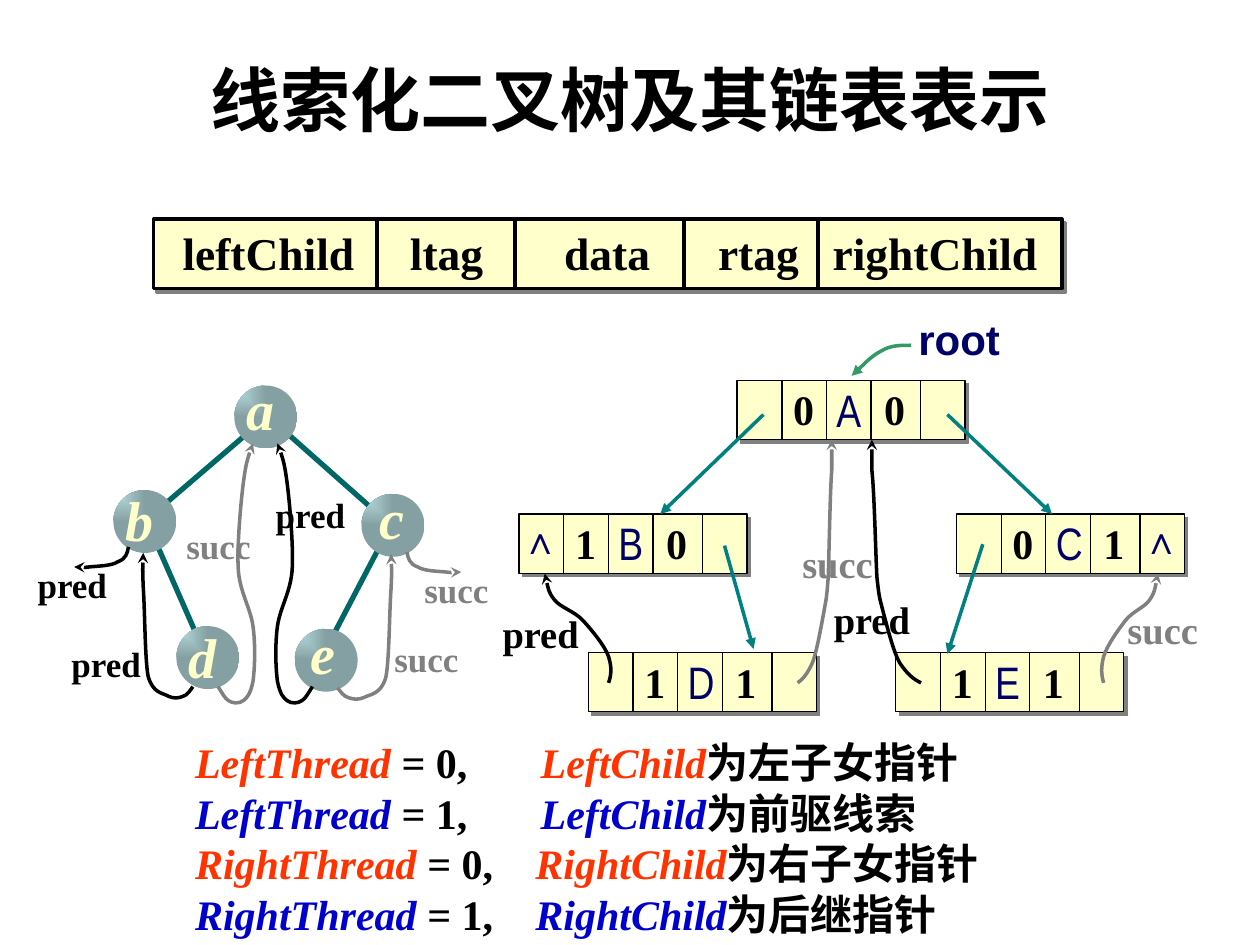
from lxml import etree
from pptx import Presentation
from pptx.dml.color import RGBColor
from pptx.enum.shapes import MSO_CONNECTOR, MSO_SHAPE
from pptx.enum.text import MSO_ANCHOR, PP_ALIGN
from pptx.oxml import parse_xml
from pptx.oxml.ns import nsdecls, qn
from pptx.util import Pt

STRAIGHT = MSO_CONNECTOR.STRAIGHT
RECTANGLE, OVAL = MSO_SHAPE.RECTANGLE, MSO_SHAPE.OVAL
TOP, MIDDLE = MSO_ANCHOR.TOP, MSO_ANCHOR.MIDDLE
LEFT, CENTER = PP_ALIGN.LEFT, PP_ALIGN.CENTER

BLACK = RGBColor(0x00, 0x00, 0x00)
GRAY = RGBColor(0x80, 0x80, 0x80)
CREAM = RGBColor(0xFF, 0xFF, 0xCC)
EDGE = RGBColor(0x00, 0x66, 0x66)
TEAL = RGBColor(0x00, 0x80, 0x80)
GREEN = RGBColor(0x33, 0x99, 0x66)
NAVY = RGBColor(0x00, 0x00, 0x66)
RED = RGBColor(0xFF, 0x33, 0x00)
BLUE = RGBColor(0x00, 0x00, 0xCC)
SERIF, SANS, NARROW = "Times New Roman", "Arial", "Arial Narrow"

NODE_GRADIENT = f"""<a:gradFill {nsdecls('a')} rotWithShape="1"><a:gsLst>
<a:gs pos="0"><a:srgbClr val="BBE0E3"/></a:gs>
<a:gs pos="100000"><a:srgbClr val="BBE0E3"><a:shade val="46275"/></a:srgbClr></a:gs>
</a:gsLst><a:path path="rect"><a:fillToRect r="100000" b="100000"/></a:path></a:gradFill>"""
BOX_SHADOW = f"""<a:effectLst {nsdecls('a')}><a:outerShdw dist="35560" dir="2700000"
algn="ctr" rotWithShape="0"><a:srgbClr val="808080"/></a:outerShdw></a:effectLst>"""

ANCESTOR_THREAD = [
    (2, 3), (4, 7), (6, 8), (8, 9.5), (12, 10), (14.5, 8), (16.5, 6.5), (18.5, 4.5), (20, -3),
    (21, -10), (21.5, -24), (20, -34.5), (18.5, -45.5), (12, -54.5), (11.5, -68.5),
    (11, -82), (13, -105), (14.5, -116.5), (16, -128), (18.5, -135.5), (20, -139)]
PARENT_THREAD = [
    (1.5, 2), (3.5, 5), (6, 5.5), (8.5, 6.5), (11.5, 7), (15, 5.5), (18.5, 3.5), (24.5, 4),
    (27.5, -6), (29.5, -16), (29.5, -44.5), (30.5, -57), (31, -68.5), (30.5, -73.5), (30.5, -76.5)]
OPEN_THREAD = [
    (0.5, 3.5), (1.5, 7), (6, 8.5), (9.5, 11), (18, 11), (22.5, 11.5),
    (26.5, 12), (29.5, 11.5), (31, 11.5)]
OUTER_THREAD = [
    (1.5, -4.5), (2, -8.5), (0, -15), (-2, -21), (-9.5, -30), (-14.5, -35.5),
    (-19.5, -41), (-27.5, -43), (-31, -47.5), (-34.5, -52), (-36, -60), (-36.5, -62.5)]
INNER_THREAD = [
    (3, -2), (5.5, -5), (8.5, -11.5), (11, -18), (13.5, -32.5), (15, -40.5), (16.5, -49),
    (16.5, -47.5), (17.5, -60.5), (18, -74), (18.5, -108.5), (19.5, -121.5),
    (19.5, -134.5), (19.5, -136), (19.5, -139)]
ROOT_POINTER = [(-6, 0), (-11.5, 0), (-16.5, 3), (-22.5, 6), (-31, 15), (-34, 17.5)]


def add_run(paragraph, text, size, font, color, bold=True, italic=False):
    run = paragraph.add_run()
    run.text = text
    run.font.size, run.font.name = Pt(size), font
    run.font.bold, run.font.italic = bold, italic
    run.font.color.rgb = color


def add_frame(slide, x, y, width, height, anchor=TOP, wrap=False):
    frame = slide.shapes.add_textbox(Pt(x), Pt(y), Pt(width), Pt(height)).text_frame
    frame.word_wrap, frame.vertical_anchor = wrap, anchor
    return frame


def add_label(slide, x, y, width, height, text, size, font, color,
              bold=True, italic=False, align=LEFT, anchor=TOP):
    paragraph = add_frame(slide, x, y, width, height, anchor).paragraphs[0]
    paragraph.alignment = align
    add_run(paragraph, text, size, font, color, bold, italic)


def set_tabs(paragraph, positions):
    tabs = etree.SubElement(paragraph._p.get_or_add_pPr(), qn("a:tabLst"))
    for position in positions:
        etree.SubElement(tabs, qn("a:tab"), pos=str(Pt(position)), algn="l")


def style_line(line, color, width, head=None):
    line.color.rgb, line.width = color, Pt(width)
    if head:
        etree.SubElement(line._get_or_add_ln(), qn("a:tailEnd"), type=head)


def add_line(slide, x1, y1, x2, y2, color, width, head=None):
    connector = slide.shapes.add_connector(STRAIGHT, Pt(x1), Pt(y1), Pt(x2), Pt(y2))
    style_line(connector.line, color, width, head)
    etree.SubElement(connector._element.spPr, qn("a:effectLst"))


def add_curve(slide, x, y, steps, color, stretch=1, head="stealth"):
    builder = slide.shapes.build_freeform(Pt(x), Pt(y))
    builder.add_line_segments([(Pt(x + dx * stretch), Pt(y + dy)) for dx, dy in steps], close=False)
    curve = builder.convert_to_shape()
    curve.shadow.inherit = False
    curve.fill.background()
    style_line(curve.line, color, 2, head)
    outline = curve._element.spPr.find(".//" + qn("a:path"))
    segments = outline.findall(qn("a:lnTo"))
    for first in range(0, len(segments), 3):
        bezier = etree.SubElement(outline, qn("a:cubicBezTo"))
        for segment in segments[first:first + 3]:
            bezier.append(segment[0])
            outline.remove(segment)


def add_cells(slide, x, y, width, height, dividers, line_width, divider_width):
    cells = slide.shapes.add_shape(RECTANGLE, Pt(x), Pt(y), Pt(width), Pt(height))
    cells.fill.solid()
    cells.fill.fore_color.rgb = CREAM
    style_line(cells.line, BLACK, line_width)
    cells._element.spPr.append(parse_xml(BOX_SHADOW))
    for offset in dividers:
        add_line(slide, x + offset, y, x + offset, y + height, BLACK, divider_width)


def add_title(slide, x, y, width, height):
    paragraph = add_frame(slide, x, y, width, height, MIDDLE, True).paragraphs[0]
    paragraph.alignment = CENTER
    add_run(paragraph, "线索化二叉树及其链表表示", 40, SANS, BLACK)


def add_node_layout(slide, x, y, width, height):
    add_cells(slide, x, y, width, height, (127.4, 206.6, 303.1, 379.4), 2, 2.25)
    paragraph = add_frame(slide, x + 9.4, y, width - 11, height - 1.5).paragraphs[0]
    set_tabs(paragraph, (130, 218, 306, 371.5))
    add_run(paragraph, "leftChild\tltag\tdata\trtag\trightChild", 26, SERIF, BLACK)


def add_tree_node(slide, x, y, letter, dx, dy):
    node = slide.shapes.add_shape(OVAL, Pt(x), Pt(y), Pt(36), Pt(36))
    node.shadow.inherit = False
    node.line.fill.background()
    node.fill.gradient()
    properties = node._element.spPr
    properties.replace(properties.find(qn("a:gradFill")), parse_xml(NODE_GRADIENT))
    add_label(slide, x + dx, y + dy, 30, 45.4, letter, 32, SERIF, CREAM,
              italic=True, align=CENTER, anchor=MIDDLE)


def add_threaded_tree(slide, x, y):
    for x1, y1, x2, y2 in ((206.6, 88.6, 174.2, 150.5), (74.9, 94.3, 98.6, 148.3),
                           (149.8, 31.7, 200.9, 77), (130.3, 28.8, 74.9, 76.3)):
        add_line(slide, x + x1, y + y1, x + x2, y + y2, EDGE, 3)
    for letter, left, top, dx, dy in (
            ("a", 119.5, 4.3, 0, -10), ("b", 50.4, 64, 0, -5.8), ("c", 192.2, 66.2, 2.2, -9.4),
            ("d", 86.4, 141.8, 0, -5.8), ("e", 154, 143.3, 1.4, -9.4)):
        add_tree_node(slide, x + left, y + top, letter, dx, dy)
    for left, top, steps, color, stretch in (
            (110.2, 176.4, ANCESTOR_THREAD, GRAY, 1), (164.2, 176.4, ANCESTOR_THREAD, BLACK, -1),
            (95.8, 176.4, PARENT_THREAD, BLACK, -0.93), (178.6, 177.1, PARENT_THREAD, GRAY, 1),
            (59, 96.5, OPEN_THREAD, BLACK, -1), (218.2, 99.4, OPEN_THREAD, GRAY, 1)):
        add_curve(slide, x + left, y + top, steps, color, stretch)
    for left, top in ((0, 102.2), (19.4, 147.6), (136.1, 62.6)):
        add_label(slide, x + left, y + top, 54.7, 31, "pred", 20, SERIF, BLACK)
    for left, top in ((85, 79.9), (221, 105.1), (203.8, 144.7)):
        add_label(slide, x + left, y + top, 51.1, 31, "succ", 20, SERIF, GRAY)


def add_record(slide, x, y, letter, ltag, rtag, null_offset):
    add_cells(slide, x, y, 130.3, 33.8, (25.6, 51.1, 76.5, 105), 0.75, 0.75)
    add_label(slide, x + 49.7, y - 2.9, 29, 38.2, letter, 26, NARROW, NAVY, bold=False)
    for offset, tag in ((25, ltag), (77, rtag)):
        add_label(slide, x + offset, y - 1.5, 26.6, 36, tag, 24, SERIF, BLACK)
    if null_offset is not None:
        add_label(slide, x + null_offset, y - 2.2, 36.7, 33.8, "∧", 22, SANS, NAVY, bold=False)


def add_linked_records(slide, x, y):
    for left, top, *fields in (
            (55.4, 193, "D", "1", "1", None), (140.4, 37.4, "A", "0", "0", None),
            (231.1, 193, "E", "1", "1", None), (15.8, 113.8, "B", "1", "0", -5.8),
            (265.7, 113.8, "C", "0", "1", 99.4)):
        add_record(slide, x + left, y + top, *fields)
    for x1, y1, x2, y2 in ((155.5, 56.9, 96.5, 113.8), (260.6, 56.9, 320.4, 113.8),
                           (280.8, 131, 260.6, 193.7), (133.2, 131.8, 149.8, 190.8)):
        add_line(slide, x + x1, y + y1, x + x2, y + y2, TEAL, 2, "triangle")
    add_curve(slide, x + 239.8, y + 17.3, ROOT_POINTER, GREEN, head="triangle")
    add_label(slide, x + 236.9, y - 4.3, 61.2, 36, "root", 24, SANS, NAVY)
    for left, steps, color, stretch in (
            (67, OUTER_THREAD, BLACK, 1), (349.9, OUTER_THREAD, GRAY, -0.85),
            (245.5, INNER_THREAD, BLACK, -1.44), (175, INNER_THREAD, GRAY, 1)):
        add_curve(slide, x + left, y + 210.2, steps, color, stretch)
    for left, top, text, color in ((-0.7, 164.9, "pred", BLACK), (188.6, 157, "pred", BLACK),
                                   (170.6, 125.3, "succ", GRAY), (356.4, 162.7, "succ", GRAY)):
        add_label(slide, x + left, y + top, 58, 33.8, text, 22, SERIF, color)


def add_thread_rules(slide, x, y, width, height):
    frame = add_frame(slide, x, y, width, height, wrap=True)
    rules = (("Left", 0, RED, "为左子女指针"), ("Left", 1, BLUE, "为前驱线索"),
             ("Right", 0, RED, "为右子女指针"), ("Right", 1, BLUE, "为后继指针"))
    for index, (side, value, color, meaning) in enumerate(rules):
        paragraph = frame.add_paragraph() if index else frame.paragraphs[0]
        set_tabs(paragraph, [197.5 if side == "Left" else 194.5])
        add_run(paragraph, f"{side}Thread ", 24, SERIF, color, italic=True)
        add_run(paragraph, f"= {value},\t", 24, SERIF, BLACK)
        add_run(paragraph, f"{side}Child", 24, SERIF, color, italic=True)
        add_run(paragraph, meaning, 24, SERIF, BLACK)


def main():
    deck = Presentation()
    deck.slide_width, deck.slide_height = Pt(720), Pt(540)
    slide = deck.slides.add_slide(deck.slide_layouts[6])
    add_node_layout(slide, 87.8, 125.3, 519.1, 39.6)
    add_threaded_tree(slide, 14.4, 216)
    add_linked_records(slide, 280.8, 180)
    add_title(slide, 36, 21.6, 648, 69.8)
    add_thread_rules(slide, 104.4, 417.6, 537.8, 122.4)
    deck.save("out.pptx")


if __name__ == "__main__":
    main()
